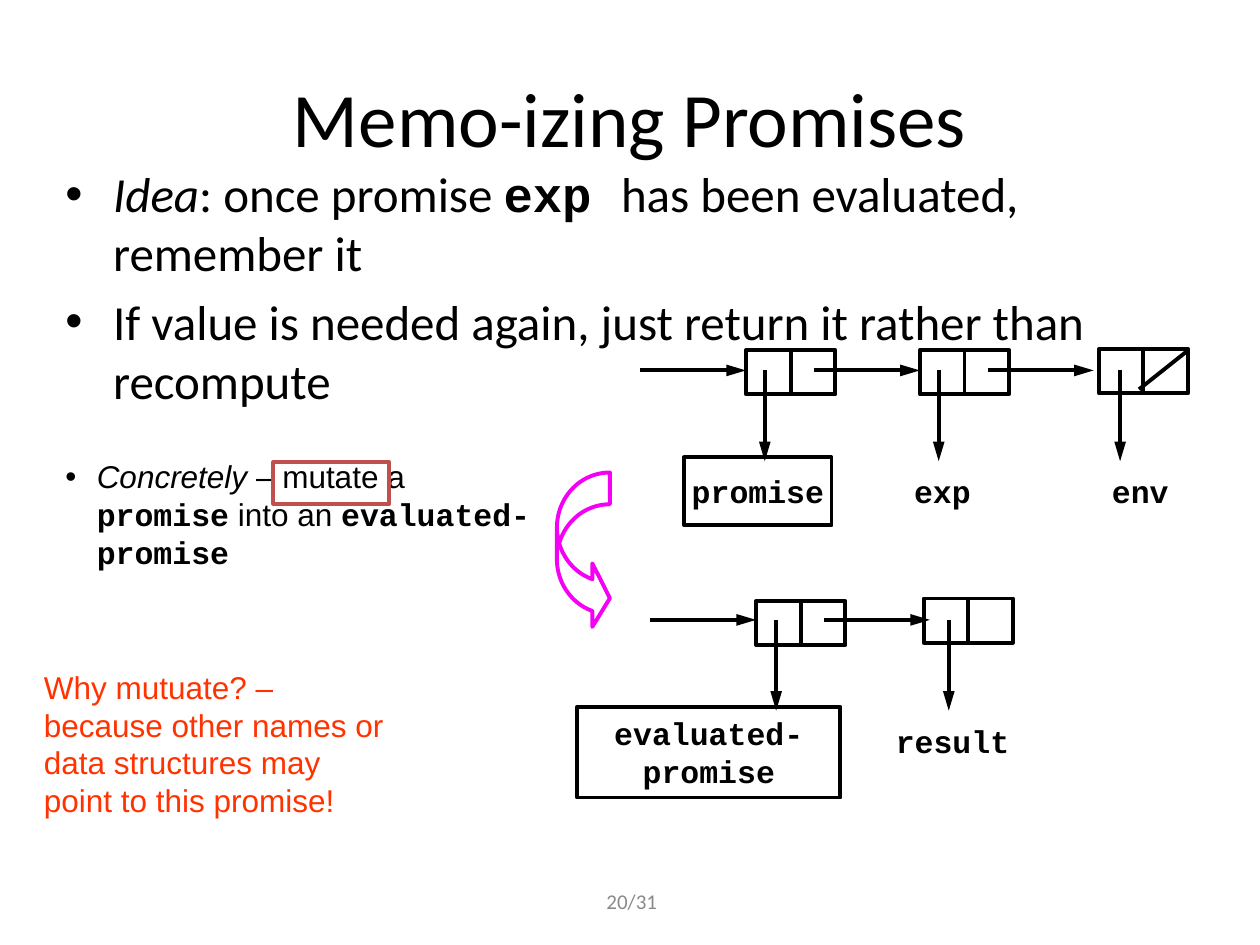
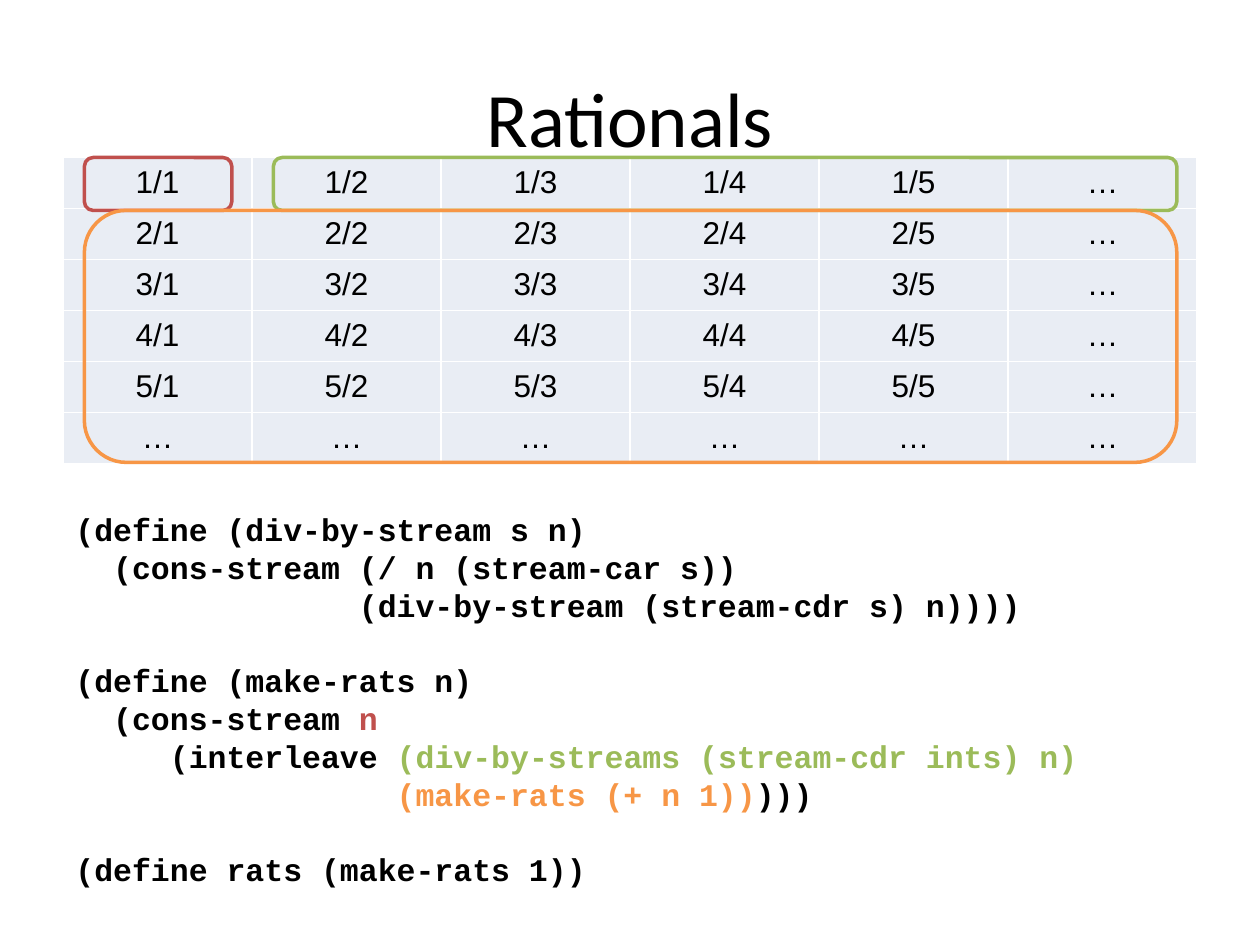
from lxml import etree
from pptx import Presentation
from pptx import util as u
from pptx.dml.color import RGBColor
from pptx.enum import shapes as kinds, text as t
from pptx.oxml import ns

BLACK = RGBColor(0x00, 0x00, 0x00)
WHITE = RGBColor(0xFF, 0xFF, 0xFF)
GRAY = RGBColor(0x89, 0x89, 0x89)
RED = RGBColor(0xC0, 0x50, 0x4D)
GREEN = RGBColor(0x9B, 0xBB, 0x59)
ORANGE = RGBColor(0xF7, 0x96, 0x46)
WARNING = RGBColor(0xFF, 0x33, 0x00)
MAGENTA = RGBColor(0xF4, 0x00, 0xF4)
CELL_FILL = RGBColor(0xE9, 0xED, 0xF4)

SANS, TITLE_FONT, CODE_FONT = "Arial", "Calibri", "Courier New"
CODE = {"name": CODE_FONT, "bold": True}
ITALIC = {"italic": True}
LINE_PITCH = 21.6  # points, for 18 pt text
CHARACTER = 0.15  # inches, one 18 pt code character
CELL_WIDTH, CELL_HEIGHT = 0.71, 0.35
POINTER_LENGTH, POINTER_DROP = 0.84, 0.72
LABEL_WIDTH, LABEL_HEIGHT = 1, 0.54


def inches(*lengths):
    return [u.Inches(length) for length in lengths]


def style_font(font, name=None, size=None, color=None, bold=None, italic=None):
    if name:
        font.name = name
    if size:
        font.size = u.Pt(size)
    if color is not None:
        font.color.rgb = color
    if bold is not None:
        font.bold = bold
    if italic is not None:
        font.italic = italic


def indent(paragraph, left, bullet=False):
    """Set the left margin; a bullet hangs in it."""
    properties = paragraph._p.get_or_add_pPr()
    properties.set("marL", str(u.Inches(left)))
    if bullet:
        properties.set("indent", str(-u.Inches(left)))
        etree.SubElement(properties, ns.qn("a:buFont"), typeface=SANS)
        etree.SubElement(properties, ns.qn("a:buChar"), char="•")


def fill_paragraph(paragraph, runs, align=t.PP_ALIGN.LEFT, before=0, pitch=None, **font):
    """Write (text, differences) runs over one paragraph font."""
    paragraph.alignment = align
    paragraph.space_before = u.Pt(before)
    if pitch:
        paragraph.line_spacing = u.Pt(pitch)
    style_font(paragraph.font, **font)
    for words, differences in runs:
        run = paragraph.add_run()
        run.text = words
        style_font(run.font, **differences)


def add_text_box(shapes, box, anchor=t.MSO_ANCHOR.TOP):
    frame = shapes.add_textbox(*inches(*box)).text_frame
    frame.word_wrap = True
    frame.vertical_anchor = anchor
    return frame


def add_outline(shapes, kind, box, color=BLACK, width=2.25):
    shape = shapes.add_shape(kind, *inches(*box))
    shape.shadow.inherit = False
    shape.fill.background()
    shape.line.color.rgb = color
    shape.line.width = u.Pt(width)
    return shape


def add_line(shapes, start, end, arrow=False):
    line = shapes.add_connector(kinds.MSO_CONNECTOR.STRAIGHT, *inches(*start, *end))
    line.line.color.rgb = BLACK
    line.line.width = u.Pt(2.25)
    if arrow:
        etree.SubElement(line.line._get_or_add_ln(), ns.qn("a:tailEnd"),
                         type="triangle", w="med", len="lg")
    etree.SubElement(line._element.spPr, ns.qn("a:effectLst"))


def add_title(slide, title):
    frame = add_text_box(slide.shapes, (0.5, 0.3, 9, 1.25), t.MSO_ANCHOR.MIDDLE)
    fill_paragraph(frame.paragraphs[0], [(title, {})], t.PP_ALIGN.CENTER,
                   name=TITLE_FONT, size=44, color=BLACK)


def add_page_number(slide, number):
    frame = add_text_box(slide.shapes, (3.43, 6.95, 3.17, 0.4), t.MSO_ANCHOR.MIDDLE)
    fill_paragraph(frame.paragraphs[0], [(number, {})], t.PP_ALIGN.CENTER,
                   name=TITLE_FONT, size=12, color=GRAY)


def add_bullets(slide, box, bullets, hang, **style):
    frame = add_text_box(slide.shapes, box)
    for index, runs in enumerate(bullets):
        paragraph = frame.add_paragraph() if index else frame.paragraphs[0]
        indent(paragraph, hang, bullet=True)
        fill_paragraph(paragraph, runs, before=style["size"] * 0.2, color=BLACK, **style)


def write_label(frame, words):
    frame.margin_left = frame.margin_right = 0
    paragraph = frame.paragraphs[0]
    paragraph.text = words
    fill_paragraph(paragraph, [], t.PP_ALIGN.CENTER, pitch=LINE_PITCH,
                   size=18, color=BLACK, **CODE)


def add_framed_label(shapes, words, box):
    frame = add_outline(shapes, kinds.MSO_SHAPE.RECTANGLE, box).text_frame
    frame.word_wrap = True
    frame.vertical_anchor = t.MSO_ANCHOR.MIDDLE
    write_label(frame, words)


def add_plain_label(shapes, words, center, top):
    box = (center - LABEL_WIDTH / 2, top, LABEL_WIDTH, LABEL_HEIGHT)
    write_label(add_text_box(shapes, box, t.MSO_ANCHOR.MIDDLE), words)


def add_cons_chain(shapes, pointer_top, cells):
    """Draw linked pairs; each cell is (left, top, x of its car pointer)."""
    first_left = cells[0][0]
    add_line(shapes, (first_left - POINTER_LENGTH, pointer_top),
             (first_left, pointer_top), arrow=True)
    for index, (left, top, car) in enumerate(cells):
        middle = left + CELL_WIDTH / 2
        add_outline(shapes, kinds.MSO_SHAPE.RECTANGLE, (left, top, CELL_WIDTH, CELL_HEIGHT))
        add_line(shapes, (middle, top), (middle, top + CELL_HEIGHT))
        add_line(shapes, (car, pointer_top), (car, pointer_top + POINTER_DROP), arrow=True)
        if index < len(cells) - 1:
            cdr = left + 0.54
            add_line(shapes, (cdr, pointer_top), (cdr + POINTER_LENGTH, pointer_top), arrow=True)


def add_promise_diagram(slide):
    shapes = slide.shapes.add_group_shape().shapes
    add_cons_chain(shapes, 2.94, [(5.92, 2.78, 6.07), (7.3, 2.78, 7.45), (8.72, 2.77, 8.89)])
    add_line(shapes, (9.04, 3.09), (9.43, 2.78))
    add_framed_label(shapes, "promise", (5.43, 3.63, 1.17, 0.54))
    add_plain_label(shapes, "exp", 7.48, 3.63)
    add_plain_label(shapes, "env", 9.05, 3.63)


def add_evaluated_diagram(slide):
    shapes = slide.shapes.add_group_shape().shapes
    add_cons_chain(shapes, 4.92, [(6, 4.77, 6.16), (7.33, 4.75, 7.53)])
    add_framed_label(shapes, "evaluated-\npromise", (4.58, 5.61, 2.09, 0.72))
    add_plain_label(shapes, "result", 7.56, 5.61)
    arrow = add_outline(shapes, kinds.MSO_SHAPE.CURVED_RIGHT_ARROW,
                        (4.42, 3.75, 0.42, 1.25), MAGENTA)
    for index, value in enumerate((0.6, 1.2, 0.33)):
        arrow.adjustments[index] = value


def build_promises_slide(slide):
    add_page_number(slide, "20/31")
    add_title(slide, "Memo-izing Promises")
    add_bullets(slide, (0.42, 1.25, 8.83, 1.42), [
        [("Idea", ITALIC), (": once promise ", {}), ("exp ", CODE),
         ("has been evaluated, remember it", {})],
        [("If value is needed again, just return it rather than recompute", {})],
    ], 0.38, name=TITLE_FONT, size=28)
    add_promise_diagram(slide)
    add_bullets(slide, (0.42, 3.58, 3.97, 1.58), [
        [("Concretely", ITALIC), (" – mutate a ", {}), ("promise", CODE),
         (" into an ", {}), ("evaluated-promise", CODE)],
    ], 0.25, name=SANS, size=18, pitch=LINE_PITCH)
    add_evaluated_diagram(slide)
    add_outline(slide.shapes, kinds.MSO_SHAPE.RECTANGLE, (2.17, 3.67, 0.92, 0.33), RED)
    reason = add_text_box(slide.shapes, (0.25, 5.25, 2.92, 1.31))
    fill_paragraph(reason.paragraphs[0], [
        ("Why mutuate? – because other names or data structures may point to this promise!", {}),
    ], before=9, pitch=LINE_PITCH, name=SANS, size=18, color=WARNING)


def add_cell_borders(cell):
    properties = cell._tc.get_or_add_tcPr()
    for side in ("lnL", "lnR", "lnT", "lnB"):
        line = etree.SubElement(properties, ns.qn(f"a:{side}"), w=str(u.Pt(1)))
        fill = etree.SubElement(line, ns.qn("a:solidFill"))
        etree.SubElement(fill, ns.qn("a:srgbClr"), val=str(WHITE))


def add_fraction_table(slide, box, count=6):
    """Fill a square grid with row/column, closed by ellipses."""
    table = slide.shapes.add_table(count, count, *inches(*box)).table
    table.first_row = table.horz_banding = False
    for row in range(1, count + 1):
        for column in range(1, count + 1):
            cell = table.cell(row - 1, column - 1)
            add_cell_borders(cell)
            cell.fill.solid()
            cell.fill.fore_color.rgb = CELL_FILL
            cell.vertical_anchor = t.MSO_ANCHOR.MIDDLE
            words = "…" if count in (row, column) else f"{row}/{column}"
            fill_paragraph(cell.text_frame.paragraphs[0], [(words, {})],
                           t.PP_ALIGN.CENTER, name=SANS, size=18, color=BLACK)


def add_code(slide, box, lines):
    """Each line is (indent in characters, starts a new block, runs)."""
    frame = add_text_box(slide.shapes, box)
    for index, (depth, new_block, runs) in enumerate(lines):
        paragraph = frame.add_paragraph() if index else frame.paragraphs[0]
        indent(paragraph, depth * CHARACTER)
        fill_paragraph(paragraph, runs, before=LINE_PITCH if new_block else 0,
                       pitch=LINE_PITCH, size=18, color=BLACK, **CODE)


def build_rationals_slide(slide):
    add_title(slide, "Rationals")
    add_fraction_table(slide, (0.5, 1.25, 9, 2.43))
    for box, color in (
        ((0.67, 1.25, 1.17, 0.42), RED),
        ((2.17, 1.25, 7.17, 0.42), GREEN),
        ((0.67, 1.67, 8.67, 2), ORANGE),
    ):
        add_outline(slide.shapes, kinds.MSO_SHAPE.ROUNDED_RECTANGLE, box, color, 2)
    add_code(slide, (0.5, 4, 9, 3.13), [
        (0, False, [("(define (div-by-stream s n)", {})]),
        (2, False, [("(cons-stream (/ n (stream-car s))", {})]),
        (15, False, [("(div-by-stream (stream-cdr s) n))))", {})]),
        (0, True, [("(define (make-rats n)", {})]),
        (2, False, [("(cons-stream ", {}), ("n", {"color": RED})]),
        (5, False, [("(interleave ", {}),
                    ("(div-by-streams (stream-cdr ints) n)", {"color": GREEN})]),
        (17, False, [("(make-rats (+ n 1))", {"color": ORANGE}), (")))", {})]),
        (0, True, [("(define rats (make-rats 1))", {})]),
    ])


def main():
    presentation = Presentation()
    presentation.slide_width, presentation.slide_height = inches(10, 7.5)
    for build in (build_promises_slide, build_rationals_slide):
        build(presentation.slides.add_slide(presentation.slide_layouts[6]))
    presentation.save("out.pptx")


if __name__ == "__main__":
    main()
